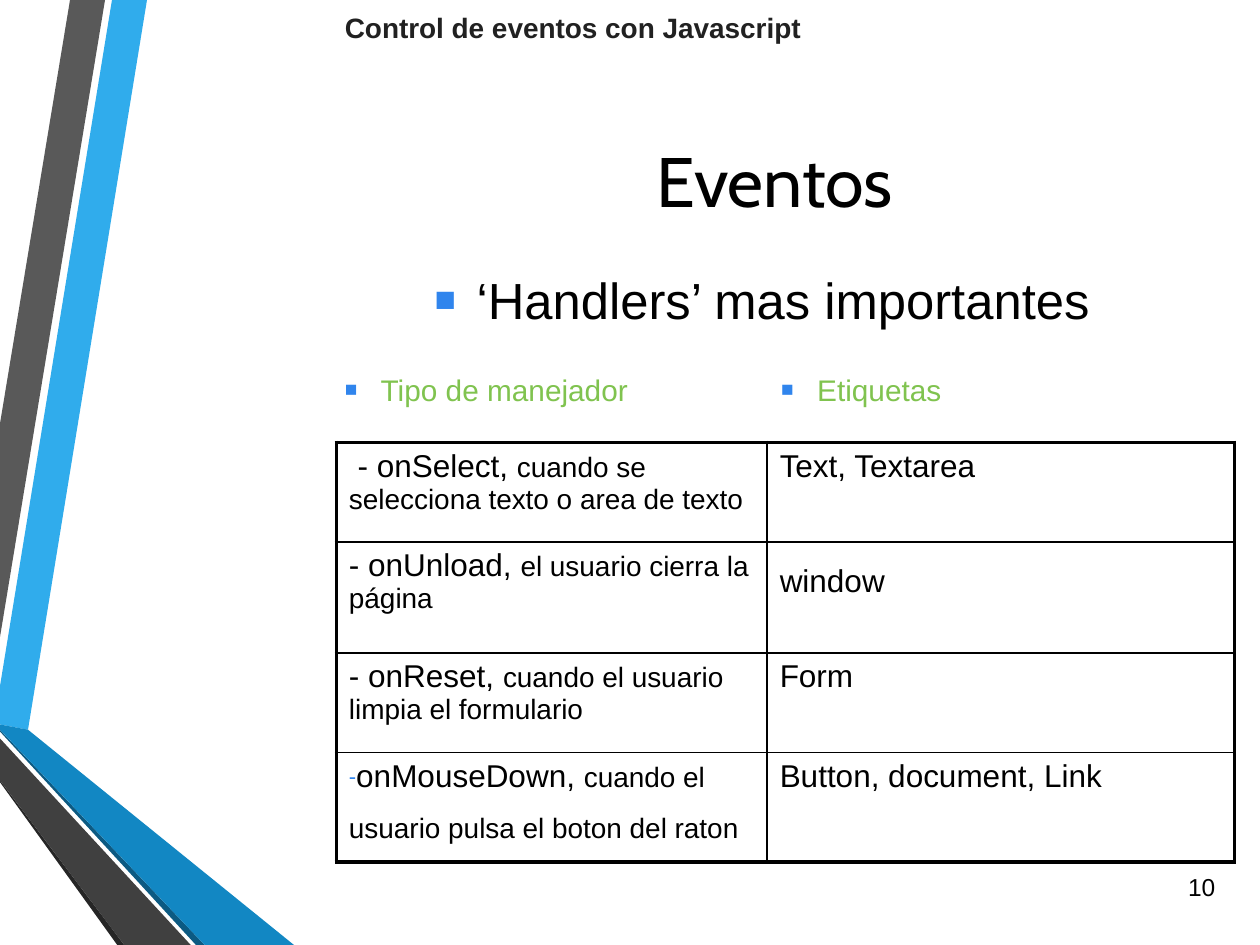
from dataclasses import dataclass

from lxml.etree import SubElement
from pptx import Presentation
from pptx.dml.color import RGBColor
from pptx.enum.text import MSO_ANCHOR, PP_ALIGN
from pptx.oxml.ns import qn
from pptx.util import Pt


@dataclass(frozen=True)
class Theme:
    font: str = "Arial"
    title_font: str = "Cabin"
    black: str = "000000"
    header: str = "212121"
    green: str = "80C34F"
    bullet: str = "3085ED"
    title_size: int = 40
    subtitle_size: int = 29
    spacer_size: int = 28
    event_size: int = 18
    label_size: int = 17
    detail_size: int = 16
    number_size: int = 14


theme = Theme()


def add_run(paragraph, text, size, color=theme.black, font=theme.font, bold=False):
    run = paragraph.add_run()
    run.text = text
    run.font.size = Pt(size)
    run.font.name = font
    run.font.bold = bold
    run.font.color.rgb = RGBColor.from_string(color)


def add_bullet(paragraph, character, indent):
    """Give the paragraph a blue bullet at 70 % with a hanging indent in points."""
    properties = paragraph._p.get_or_add_pPr()
    properties.set("marL", str(Pt(indent)))
    properties.set("indent", str(-Pt(indent)))
    color = SubElement(properties, qn("a:buClr"))
    SubElement(color, qn("a:srgbClr"), val=theme.bullet)
    SubElement(properties, qn("a:buSzPct"), val="70000")
    SubElement(properties, qn("a:buFont"), typeface=theme.font)
    SubElement(properties, qn("a:buChar"), char=character)


presentation = Presentation()
presentation.slide_width = Pt(720)
presentation.slide_height = Pt(540)
slide = presentation.slides.add_slide(presentation.slide_layouts[6])

# Ribbons on the left edge, corner points in points
ribbons = [
    ("30ACEC", [(0, 391.7), (0, 414), (15.8, 416.9), (84.2, 0), (64, 0)]),
    ("595959", [(59.8, 0), (39.6, 0), (0, 242), (0, 364.3)]),
    ("262626", [(0, 445.7), (0, 447), (67, 540), (71.3, 540)]),
    ("0C5A82", [(0, 416.9), (0, 417.6), (112.3, 540), (117.4, 540)]),
    ("1287C3", [(0, 416.9), (117.4, 540), (167.8, 540), (15.8, 416.9), (0, 414)]),
    ("404040", [(0, 445.7), (71.3, 540), (108.7, 540), (0, 422)]),
]
for color, corners in ribbons:
    builder = slide.shapes.build_freeform(*corners[0], scale=Pt(1))
    builder.add_line_segments(corners[1:], close=True)
    ribbon = builder.convert_to_shape()
    ribbon.shadow.inherit = False
    ribbon.fill.solid()
    ribbon.fill.fore_color.rgb = RGBColor.from_string(color)
    ribbon.line.fill.background()

# Title, header and slide number
title_frame = slide.shapes.add_textbox(Pt(167), Pt(71.3), Pt(515.5), Pt(62.6)).text_frame
title_frame.word_wrap = True
title_frame.vertical_anchor = MSO_ANCHOR.MIDDLE
title_frame.margin_left = Pt(43)
title_frame.paragraphs[0].alignment = PP_ALIGN.CENTER
add_run(title_frame.paragraphs[0], "Eventos", theme.title_size, font=theme.title_font)

page_labels = [
    ("Control de eventos con Javascript", 190, 0, 504, theme.detail_size, theme.header, True),
    ("10", 671.8, 491, 33.8, theme.number_size, theme.black, False),
]
for text, left, top, width, size, color, bold in page_labels:
    frame = slide.shapes.add_textbox(Pt(left), Pt(top), Pt(width), Pt(31)).text_frame
    frame.word_wrap = True
    frame.vertical_anchor = MSO_ANCHOR.MIDDLE
    add_run(frame.paragraphs[0], text, size, color, bold=bold)

# Subtitle and column labels
bulleted_labels = [
    (" ‘Handlers’ mas importantes", 241.2, 157, 431.3, 35.3, theme.subtitle_size, theme.black),
    (" Tipo de manejador", 190, 213, 187.2, 23.8, theme.label_size, theme.green),
    (" Etiquetas", 439.2, 213, 147.6, 23.8, theme.label_size, theme.green),
]
for text, left, top, width, height, size, color in bulleted_labels:
    frame = slide.shapes.add_textbox(Pt(left), Pt(top), Pt(width), Pt(height)).text_frame
    frame.word_wrap = True
    paragraph = frame.paragraphs[0]
    paragraph.line_spacing = 0.8
    paragraph.space_before = Pt(size * 0.2)
    add_bullet(paragraph, "■", 16)
    add_run(paragraph, text, size, color)

# Handler table: each cell is a list of (text, size) runs
event, detail, spacer = theme.event_size, theme.detail_size, theme.spacer_size
handlers = [
    ([(" - onSelect, ", event), ("cuando se selecciona texto o area de texto", detail)],
     [("Text, Textarea", event)]),
    ([("- onUnload, ", event), ("el usuario cierra la página", detail)],
     [("window", event), (" ", spacer)]),
    ([("- onReset, ", event), ("cuando el usuario limpia el formulario", detail)],
     [("Form", event)]),
    ([("onMouseDown, ", event), ("cuando el usuario pulsa el boton del raton", detail),
      (" ", spacer)],
     [("Button, document, Link", event)]),
]
column_widths = [246.2, 267.1]
row_heights = [57, 63.4, 57, 57]
last_row, last_column = len(row_heights) - 1, len(column_widths) - 1
table = slide.shapes.add_table(
    len(row_heights), len(column_widths), Pt(192.2), Pt(252.7),
    Pt(sum(column_widths)), Pt(sum(row_heights)),
).table
table.first_row = False
table.horz_banding = False
for column, width in zip(table.columns, column_widths):
    column.width = Pt(width)
for row, height in zip(table.rows, row_heights):
    row.height = Pt(height)

for row_index, row_cells in enumerate(handlers):
    for column_index, runs in enumerate(row_cells):
        cell = table.cell(row_index, column_index)
        paragraph = cell.text_frame.paragraphs[0]
        paragraph.space_before = Pt(event * 0.2)
        if row_index == last_row and column_index == 0:
            add_bullet(paragraph, "-", 0)
        for text, size in runs:
            add_run(paragraph, text, size)

        outer_edges = {
            "a:lnL": column_index == 0,
            "a:lnR": column_index == last_column,
            "a:lnT": row_index == 0,
            "a:lnB": row_index == last_row,
        }
        cell_properties = cell._tc.get_or_add_tcPr()
        for edge, is_outer in outer_edges.items():
            line = SubElement(cell_properties, qn(edge), w=str(Pt(2.25 if is_outer else 1)))
            line_fill = SubElement(line, qn("a:solidFill"))
            SubElement(line_fill, qn("a:srgbClr"), val=theme.black)
        cell.fill.background()

presentation.save("out.pptx")
